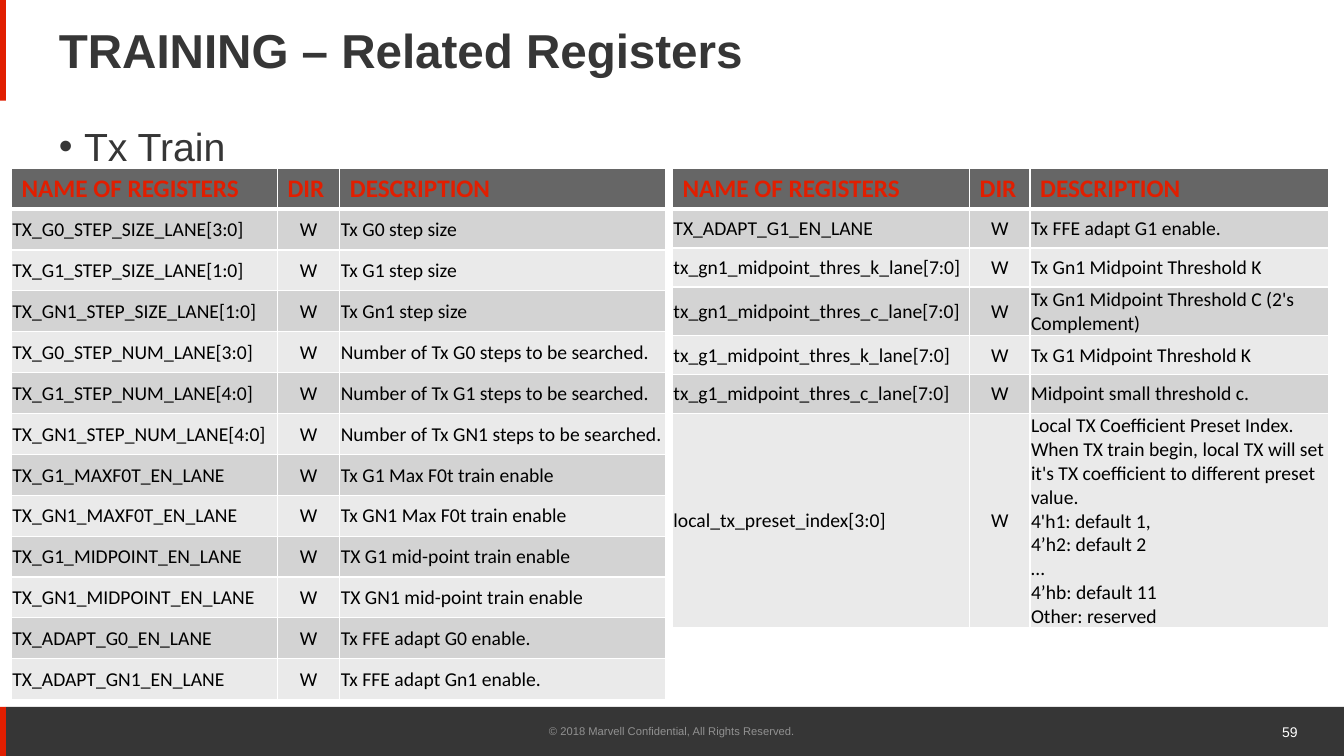
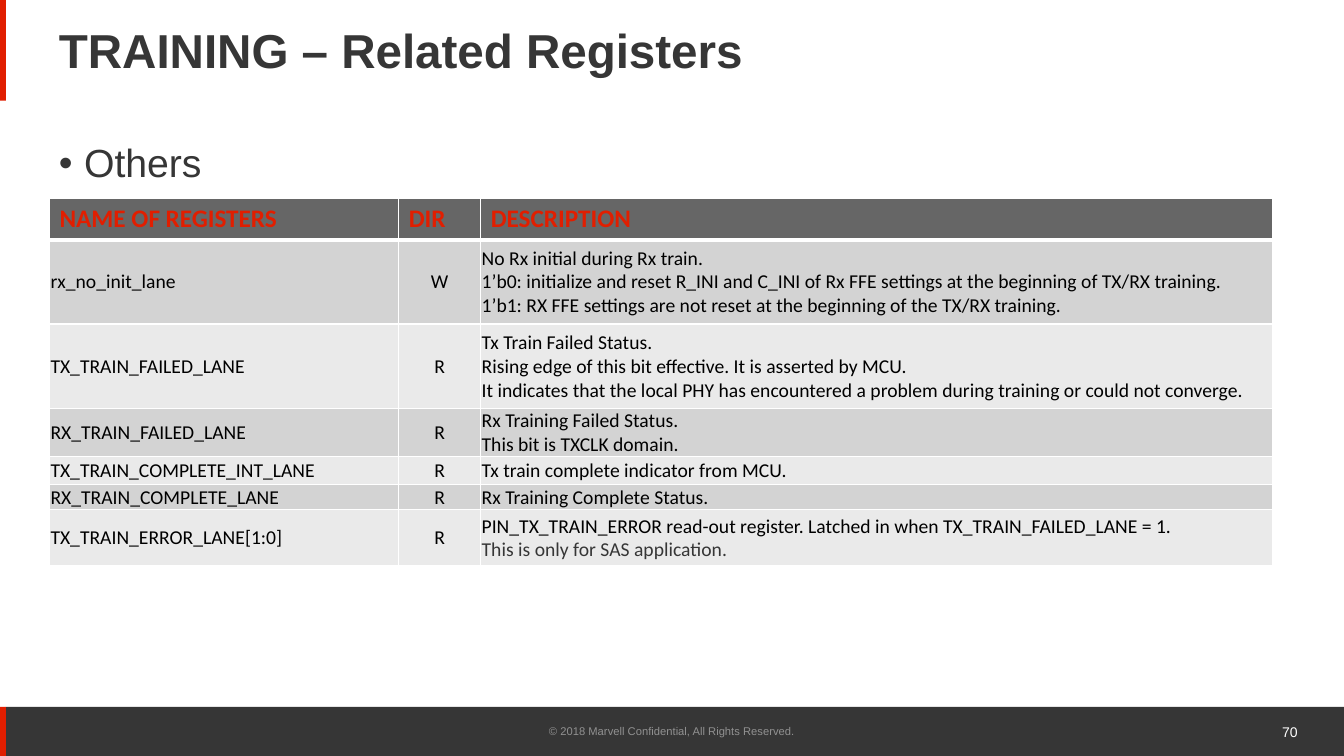
from dataclasses import dataclass

from lxml.etree import SubElement
from pptx import Presentation
from pptx.dml.color import RGBColor
from pptx.enum.shapes import MSO_SHAPE
from pptx.enum.text import MSO_ANCHOR, PP_ALIGN
from pptx.oxml.ns import qn
from pptx.util import Pt


@dataclass(frozen=True)
class Theme:
    dark: str = "363636"
    red: str = "E11E00"
    white: str = "FFFFFF"
    mute: str = "919191"
    black: str = "000000"
    head: str = "666666"
    odd: str = "D3D3D3"
    even: str = "EAEAEA"
    sans: str = "Arial"
    grid: str = "Calibri"
    title: float = 34
    topic: float = 28
    label: float = 18
    cell: float = 14
    page: float = 10
    note: float = 8


THEME = Theme()
WIDE, HIGH = 960, 540
EDGE = 4.2
FOOT = 35
TITLE = "TRAINING – Related Registers"
LEGAL = "© 2018 Marvell Confidential, All Rights Reserved."
HEADS = ("NAME OF REGISTERS", "DIR", "DESCRIPTION")

STEPS = [
    ("TX_G0_STEP_SIZE_LANE[3:0]", "W", "Tx G0 step size"),
    ("TX_G1_STEP_SIZE_LANE[1:0]", "W", "Tx G1 step size"),
    ("TX_GN1_STEP_SIZE_LANE[1:0]", "W", "Tx Gn1 step size"),
    ("TX_G0_STEP_NUM_LANE[3:0]", "W", "Number of Tx G0 steps to be searched."),
    ("TX_G1_STEP_NUM_LANE[4:0]", "W", "Number of Tx G1 steps to be searched."),
    ("TX_GN1_STEP_NUM_LANE[4:0]", "W", "Number of Tx GN1 steps to be searched."),
    ("TX_G1_MAXF0T_EN_LANE", "W", "Tx G1 Max F0t train enable"),
    ("TX_GN1_MAXF0T_EN_LANE", "W", "Tx GN1 Max F0t train enable"),
    ("TX_G1_MIDPOINT_EN_LANE", "W", "TX G1 mid-point train enable"),
    ("TX_GN1_MIDPOINT_EN_LANE", "W", "TX GN1 mid-point train enable"),
    ("TX_ADAPT_G0_EN_LANE", "W", "Tx FFE adapt G0 enable."),
    ("TX_ADAPT_GN1_EN_LANE", "W", "Tx FFE adapt Gn1 enable."),
]
LIMITS = [
    ("TX_ADAPT_G1_EN_LANE", "W", "Tx FFE adapt G1 enable."),
    ("tx_gn1_midpoint_thres_k_lane[7:0]", "W", "Tx Gn1 Midpoint Threshold K"),
    ("tx_gn1_midpoint_thres_c_lane[7:0]", "W",
     "Tx Gn1 Midpoint Threshold C (2's Complement)"),
    ("tx_g1_midpoint_thres_k_lane[7:0]", "W", "Tx G1 Midpoint Threshold K"),
    ("tx_g1_midpoint_thres_c_lane[7:0]", "W", "Midpoint small threshold c."),
    ("local_tx_preset_index[3:0]", "W",
     "Local TX Coefficient Preset Index.\n"
     "When TX train begin, local TX will set it's TX coefficient to different preset value.\n"
     "4'h1: default 1,\n4’h2: default 2\n…\n4’hb: default 11\nOther: reserved"),
]
OTHERS = [
    ("rx_no_init_lane", "W",
     "No Rx initial during Rx train.\n"
     "1’b0: initialize and reset R_INI and C_INI of Rx FFE settings "
     "at the beginning of TX/RX training.\n"
     "1’b1: RX FFE settings are not reset at the beginning of the TX/RX training."),
    ("TX_TRAIN_FAILED_LANE", "R",
     "Tx Train Failed Status.\n"
     "Rising edge of this bit effective. It is asserted by MCU.\n"
     "It indicates that the local PHY has encountered a problem "
     "during training or could not converge."),
    ("RX_TRAIN_FAILED_LANE", "R",
     "Rx Training Failed Status.\nThis bit is TXCLK domain."),
    ("TX_TRAIN_COMPLETE_INT_LANE", "R", "Tx train complete indicator from MCU."),
    ("RX_TRAIN_COMPLETE_LANE", "R", "Rx Training Complete Status."),
    ("TX_TRAIN_ERROR_LANE[1:0]", "R",
     "PIN_TX_TRAIN_ERROR read-out register. Latched in when TX_TRAIN_FAILED_LANE = 1.\n"
     "This is only for SAS application."),
]


def style(para, size, color, face, bold=False):
    for run in para.runs:
        font = run.font
        font.size, font.name, font.bold = Pt(size), face, bold
        font.color.rgb = RGBColor.from_string(color)


def band(slide, box, color):
    shape = slide.shapes.add_shape(MSO_SHAPE.RECTANGLE, *map(Pt, box))
    shape.shadow.inherit = False
    shape.fill.solid()
    shape.fill.fore_color.rgb = RGBColor.from_string(color)
    shape.line.fill.background()


def label(slide, box, text, size, color, align=PP_ALIGN.LEFT, bold=False):
    """Add a one-line text box and return its paragraph."""
    frame = slide.shapes.add_textbox(*map(Pt, box)).text_frame
    frame.word_wrap = True
    frame.vertical_anchor = MSO_ANCHOR.MIDDLE
    para = frame.paragraphs[0]
    para.text = text
    para.alignment = align
    style(para, size, color, THEME.sans, bold)
    return para


def topic(slide, box, text):
    """Add the bulleted topic line above the tables."""
    para = label(slide, box, text, THEME.topic, THEME.dark)
    props = para._p.get_or_add_pPr()
    props.set("marL", str(Pt(18)))
    props.set("indent", str(-Pt(18)))
    SubElement(props, qn("a:buFont"), typeface=THEME.sans)
    SubElement(props, qn("a:buChar"), char="•")
    para.line_spacing = 0.9


def frame(slide, page):
    """Draw the bands, title and footer that all slides share."""
    top = HIGH - FOOT
    band(slide, (EDGE, top, WIDE - EDGE, FOOT), THEME.dark)
    band(slide, (0, top, EDGE, FOOT), THEME.red)
    band(slide, (0, 0, EDGE, 72), THEME.red)
    title = label(slide, (35, 12, 828, 52), TITLE, THEME.title, THEME.dark, bold=True)
    title.line_spacing = 0.9
    label(slide, (318, top + 3, 324, 29), LEGAL, THEME.note, THEME.mute, PP_ALIGN.CENTER)
    label(slide, (735, top + 3, 199, 29), str(page), THEME.page, THEME.white, PP_ALIGN.RIGHT)


def border(cell, top, bottom):
    props = cell._tc.get_or_add_tcPr()
    for side, width in (("L", 1), ("R", 1), ("T", top), ("B", bottom)):
        line = SubElement(props, qn(f"a:ln{side}"), w=str(Pt(width)))
        fill = SubElement(line, qn("a:solidFill"))
        SubElement(fill, qn("a:srgbClr"), val=THEME.white)


def paint(cell, row, col):
    """Format a filled cell by its place in the table."""
    head = row == 0
    border(cell, 3 if row == 1 else 1, 3 if head else 1)
    color = THEME.head if head else THEME.odd if row % 2 else THEME.even
    cell.fill.solid()
    cell.fill.fore_color.rgb = RGBColor.from_string(color)
    if not head:
        cell.vertical_anchor = MSO_ANCHOR.MIDDLE
        cell.margin_left = cell.margin_right = cell.margin_top = Pt(0.7)
        cell.margin_bottom = 0
    for para in cell.text_frame.paragraphs:
        if head:
            style(para, THEME.label, THEME.red, THEME.grid, True)
        else:
            para.alignment = PP_ALIGN.CENTER if col == 1 else PP_ALIGN.LEFT
            style(para, THEME.cell, THEME.black, THEME.grid)


def grid(slide, left, top, cols, rows, data):
    """Add a register table; cols and rows list widths and heights."""
    box = map(Pt, (left, top, sum(cols), sum(rows)))
    table = slide.shapes.add_table(len(rows), len(cols), *box).table
    table.horz_banding = False
    for col, width in zip(table.columns, cols):
        col.width = Pt(width)
    for row, height in zip(table.rows, rows):
        row.height = Pt(height)
    for r, line in enumerate([HEADS, *data]):
        for c, text in enumerate(line):
            cell = table.cell(r, c)
            cell.text_frame.text = text
            paint(cell, r, c)
    return table


def train(slide):
    frame(slide, 59)
    topic(slide, (35, 87, 174, 38), "Tx Train")
    grid(slide, 8.2, 120.2, (190, 44.6, 232.8), [29.2] * 13, STEPS)
    grid(slide, 480.4, 120.2, (212.2, 43.2, 213.6),
         (29.2, 27.8, 27.8, 34.6, 27.8, 27.8, 153), LIMITS)


def others(slide):
    frame(slide, 70)
    topic(slide, (35, 99, 193, 38), "Others")
    table = grid(slide, 35.4, 142, (249.4, 58.6, 565.4),
                 (29.2, 60.2, 60.2, 34.6, 20, 18, 40), OTHERS)
    last = table.cell(len(OTHERS), 2).text_frame.paragraphs[-1]
    style(last, THEME.cell, THEME.dark, THEME.grid)


def main():
    deck = Presentation()
    deck.slide_width, deck.slide_height = Pt(WIDE), Pt(HIGH)
    for build in (train, others):
        build(deck.slides.add_slide(deck.slide_layouts[6]))
    deck.save("out.pptx")


if __name__ == "__main__":
    main()
